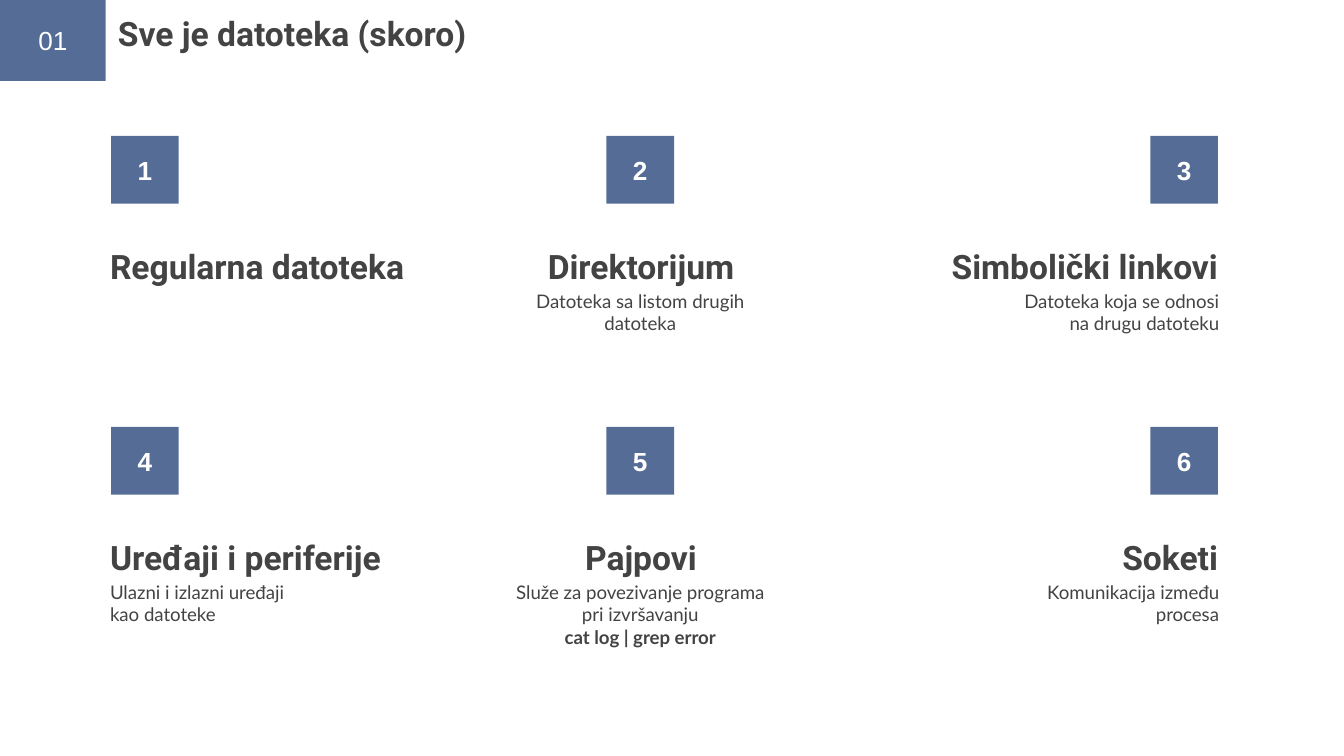
import pptx
import pptx.util
from pptx.dml.color import RGBColor
from pptx.enum.shapes import MSO_SHAPE
from pptx.enum.text import MSO_ANCHOR, MSO_AUTO_SIZE, PP_ALIGN

Cm, Pt = pptx.util.Cm, pptx.util.Pt

BLUE = RGBColor(0x55, 0x6D, 0x96)
GRAY = RGBColor(0x43, 0x43, 0x43)
WHITE = RGBColor(0xFF, 0xFF, 0xFF)

TITLE = "Sve je datoteka (skoro)"
SECTION = "01"
# heading, description lines, command line
FILE_TYPES = [
    ("Regularna datoteka", "", ""),
    ("Direktorijum", "Datoteka sa listom drugih datoteka", ""),
    ("Simbolički linkovi", "Datoteka koja se odnosi na drugu datoteku", ""),
    ("Uređaji i periferije", "Ulazni i izlazni uređaji kao datoteke", ""),
    ("Pajpovi", "Služe za povezivanje programa pri izvršavanju", "cat log | grep error"),
    ("Soketi", "Komunikacija između procesa", ""),
]

# Columns in cm: alignment, then (left, width) of heading and description, badge left
COLUMNS = [
    (PP_ALIGN.LEFT, (1.83, 7.16), (1.83, 4.34), 2.1),
    (PP_ALIGN.CENTER, (9.5, 5.23), (9.37, 5.46), 11.46),
    (PP_ALIGN.RIGHT, (17.33, 5.94), (18.72, 4.57), 21.74),
]
BADGE_TOP, HEADING_TOP, TEXT_TOP, ROW_STEP = 2.57, 3.86, 5.23, 5.5
BADGE, HEADING_H, TEXT_H = 1.28, 1.8, 3.1

HEADING = dict(name="Roboto", size=Pt(18), bold=True)
TEXT = dict(name="Lato", size=Pt(10), bold=False)
COMMAND = dict(TEXT, bold=True)
NUMBER = dict(name="Arial", size=Pt(14), bold=True)
SECTION_NUMBER = dict(NUMBER, bold=False)


def write(shape, lines, color, align, anchor=MSO_ANCHOR.TOP):
    """Fill a shape with (text, font format) lines, one paragraph each."""
    tf = shape.text_frame
    frame = dict(word_wrap=True, auto_size=MSO_AUTO_SIZE.NONE, vertical_anchor=anchor)
    frame.update({f"margin_{side}": Cm(0.25) for side in ("left", "top", "right", "bottom")})
    for key, value in frame.items():
        setattr(tf, key, value)
    for i, (text, fmt) in enumerate(lines):
        p = tf.add_paragraph() if i else tf.paragraphs[0]
        p.alignment = align
        r = p.add_run()
        r.text = text
        for key, value in fmt.items():
            setattr(r.font, key, value)
        r.font.color.rgb = color


def add_text(s, box, *args):
    write(s.shapes.add_textbox(*map(Cm, box)), *args)


def add_badge(s, box, text, fmt):
    sp = s.shapes.add_shape(MSO_SHAPE.RECTANGLE, *map(Cm, box))
    sp.shadow.inherit = False
    sp.fill.solid()
    sp.fill.fore_color.rgb = BLUE
    sp.line.fill.background()
    write(sp, [(text, fmt)], WHITE, PP_ALIGN.CENTER, MSO_ANCHOR.MIDDLE)


prs = pptx.Presentation()
prs.slide_width, prs.slide_height = Cm(25.4), Cm(14.29)
s = prs.slides.add_slide(prs.slide_layouts[5])

title = s.shapes.title
title.left, title.top, title.width, title.height = map(Cm, (1.98, 0, 15.19, 1.35))
write(title, [(TITLE, HEADING)], GRAY, PP_ALIGN.LEFT)
add_badge(s, (0, 0, 2, 1.53), SECTION, SECTION_NUMBER)

for i, (heading, text, command) in enumerate(FILE_TYPES):
    row, col = divmod(i, len(COLUMNS))
    align, (head_x, head_w), (text_x, text_w), badge_x = COLUMNS[col]
    dy = row * ROW_STEP
    add_badge(s, (badge_x, BADGE_TOP + dy, BADGE, BADGE), str(i + 1), NUMBER)
    add_text(s, (head_x, HEADING_TOP + dy, head_w, HEADING_H),
             [(heading, HEADING)], GRAY, align, MSO_ANCHOR.BOTTOM)
    lines = [(t, fmt) for t, fmt in ((text, TEXT), (command, COMMAND)) if t]
    if lines:
        add_text(s, (text_x, TEXT_TOP + dy, text_w, TEXT_H), lines, GRAY, align)

prs.save("out.pptx")
